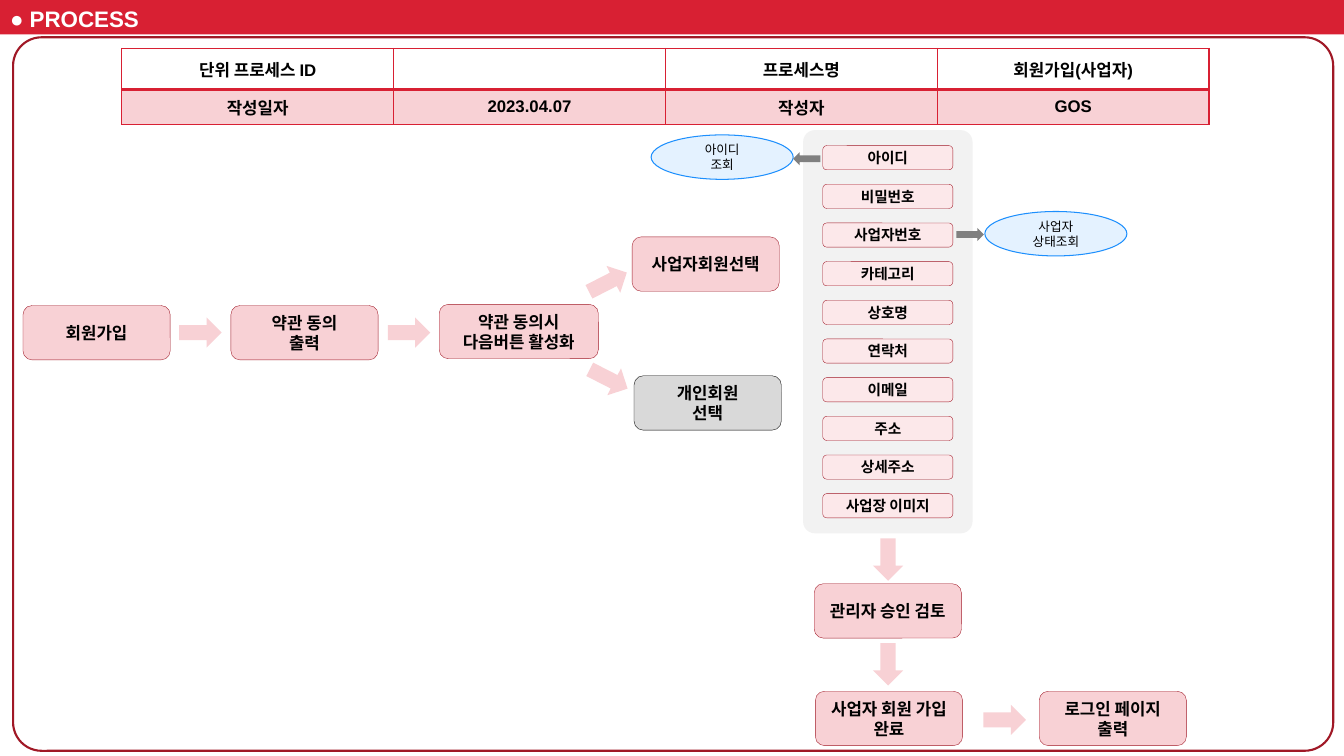
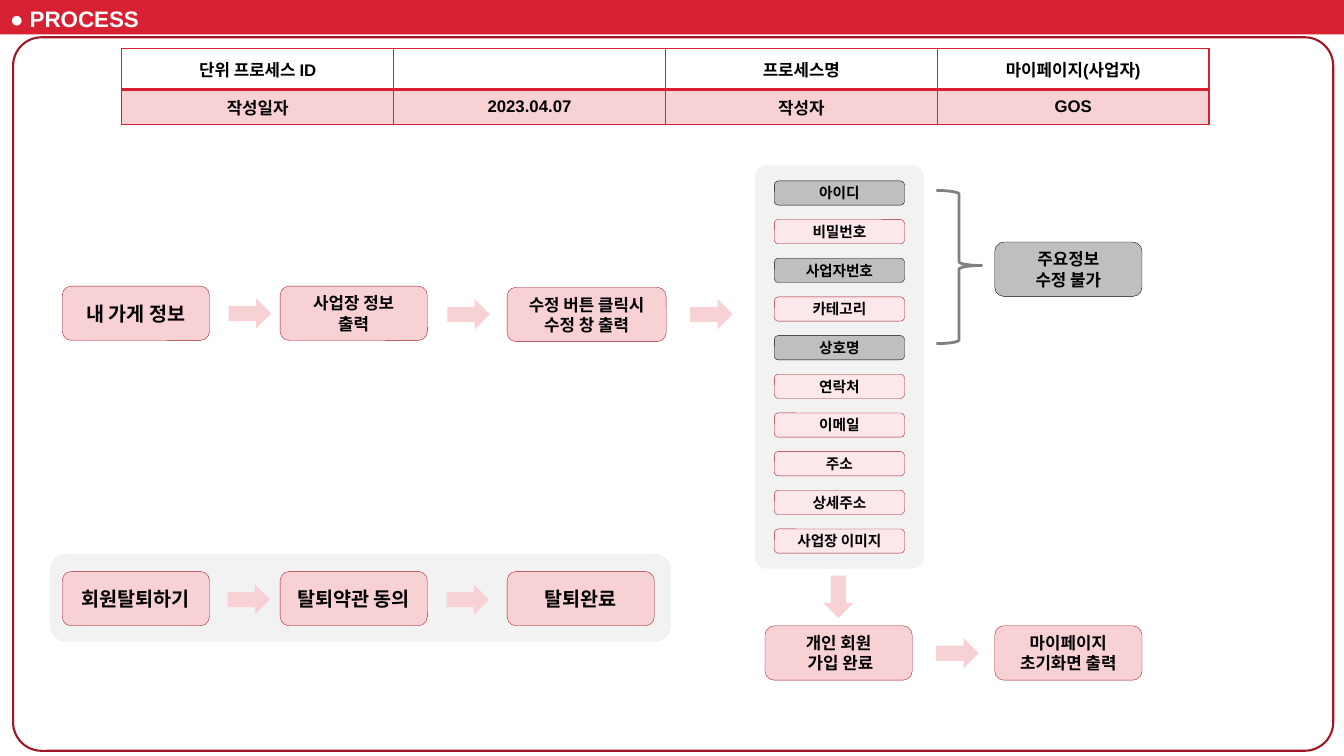
from lxml.etree import SubElement
from pptx import Presentation
from pptx.dml.color import RGBColor
from pptx.enum.shapes import MSO_SHAPE as SHAPE
from pptx.enum.text import MSO_ANCHOR as ANCHOR, PP_ALIGN as ALIGN
from pptx.oxml.ns import qn
from pptx.util import Cm, Pt

RED = RGBColor(0xD8, 0x20, 0x33)
DARK_RED = RGBColor(0xA0, 0x18, 0x26)
PINK = RGBColor(0xF8, 0xD1, 0xD5)
PALE_PINK = RGBColor(0xFC, 0xE8, 0xEA)
PANEL_GRAY = RGBColor(0xF2, 0xF2, 0xF2)
LIGHT_GRAY = RGBColor(0xD9, 0xD9, 0xD9)
LOCKED_GRAY = RGBColor(0xBF, 0xBF, 0xBF)
MID_GRAY = RGBColor(0x80, 0x80, 0x80)
BLUE = RGBColor(0x1D, 0x8F, 0xFD)
PALE_BLUE = RGBColor(0xE4, 0xF2, 0xFF)
BLACK = RGBColor(0, 0, 0)
WHITE = RGBColor(0xFF, 0xFF, 0xFF)

FONT = "Arial"
WIDTH, HEIGHT = 33.87, 19.05
BOX_W, BOX_H, WIDE_W = 3.71, 1.37, 4.01
ARROW_W, ARROW_H = 0.76, 1.07
PANEL_W, PANEL_H = 4.27, 10.16
FIELD_W, FIELD_H, FIELD_MARGIN = 3.28, 0.61, 0.39
RIGHT, DOWN, UP_RIGHT, DOWN_RIGHT = 270, 0, 243, 297

FIELDS = ["아이디", "비밀번호", "사업자번호", "카테고리", "상호명",
          "연락처", "이메일", "주소", "상세주소", "사업장 이미지"]

# boxes: text, left, top, options; arrows: centre x, centre y, direction
SLIDES = [
    {
        "name": "회원가입(사업자)",
        "boxes": [
            ("회원가입", 0.58, 7.7, {}),
            ("약관 동의\n출력", 5.82, 7.7, {}),
            ("약관 동의시\n다음버튼 활성화", 11.07, 7.67, {"w": WIDE_W}),
            ("개인회원\n선택", 15.98, 9.47, {"fill": LIGHT_GRAY, "line": BLACK}),
            ("사업자회원선택", 15.93, 5.97, {}),
            ("관리자 승인 검토", 20.52, 14.71, {}),
            ("사업자 회원 가입 완료", 20.55, 17.42, {}),
            ("로그인 페이지\n출력", 26.19, 17.42, {}),
        ],
        "arrows": [(5.05, 8.38, RIGHT), (10.31, 8.38, RIGHT),
                   (15.32, 7.11, UP_RIGHT), (15.34, 9.55, DOWN_RIGHT),
                   (22.38, 14.1, DOWN), (22.38, 16.74, DOWN),
                   (25.32, 18.14, RIGHT)],
        "panel": (20.24, 3.28),
        "locked": [],
        # text, left, top, arrow centre x, arrow centre y, arrow rotation
        "lookups": [("사업자 상태조회", 24.82, 5.33, 24.45, 5.91, 0),
                    ("아이디\n조회", 16.41, 3.4, 20.33, 4, 180)],
    },
    {
        "name": "마이페이지(사업자)",
        "withdrawal_panel": (1.26, 13.96, 15.65, 2.21),
        "boxes": [
            ("내 가게 정보", 1.57, 7.21, {"size": 14}),
            ("사업장 정보\n출력", 7.06, 7.21, {}),
            ("수정 버튼 클릭시\n수정 창 출력", 12.78, 7.24, {"w": WIDE_W}),
            ("개인 회원\n 가입 완료", 19.28, 15.77, {}),
            ("마이페이지 초기화면 출력", 25.07, 15.77, {}),
            ("주요정보\n수정 불가", 25.07, 6.1, {"fill": LOCKED_GRAY, "line": BLACK}),
            ("회원탈퇴하기", 1.57, 14.4, {"size": 14}),
            ("탈퇴약관 동의", 7.06, 14.4, {"size": 14}),
            ("탈퇴완료", 12.78, 14.4, {"size": 14}),
        ],
        "arrows": [(6.3, 7.9, RIGHT), (11.81, 7.92, RIGHT), (17.93, 7.92, RIGHT),
                   (21.13, 15.04, DOWN), (24.13, 16.46, RIGHT),
                   (6.27, 15.11, RIGHT), (11.79, 15.11, RIGHT)],
        "panel": (19.02, 4.17),
        "locked": ["아이디", "사업자번호", "상호명"],
        "lookups": [],
        "brace": (23.6, 4.8, 1.14, 3.86),
    },
]


def write(tf, text, size=12, bold=True, color=BLACK, align=ALIGN.CENTER,
          anchor=ANCHOR.MIDDLE, wrap=True):
    tf.word_wrap = wrap
    tf.vertical_anchor = anchor
    for i, line in enumerate(text.split("\n")):
        p = tf.paragraphs[0] if i == 0 else tf.add_paragraph()
        p.alignment = align
        r = p.add_run()
        r.text = line
        r.font.name, r.font.size, r.font.bold = FONT, Pt(size), bold
        r.font.color.rgb = color


def draw(shapes, kind, x, y, w, h, fill=None, line=None, line_width=0.25,
         adjust=(), rotation=0):
    sp = shapes.add_shape(kind, Cm(x), Cm(y), Cm(w), Cm(h))
    sp.shadow.inherit = False
    sp.rotation = rotation
    for i, value in enumerate(adjust):
        sp.adjustments[i] = value
    if fill is None:
        sp.fill.background()
    else:
        sp.fill.solid()
        sp.fill.fore_color.rgb = fill
    if line is None:
        sp.line.fill.background()
    else:
        sp.line.color.rgb = line
        sp.line.width = Pt(line_width)
    return sp


def add_box(shapes, text, x, y, w=BOX_W, h=BOX_H, fill=PINK, line=DARK_RED, size=12):
    sp = draw(shapes, SHAPE.ROUNDED_RECTANGLE, x, y, w, h, fill, line)
    write(sp.text_frame, text, size=size)


def add_arrow(shapes, cx, cy, rotation, kind=SHAPE.DOWN_ARROW, w=ARROW_W, h=ARROW_H,
              fill=PINK):
    draw(shapes, kind, cx - w / 2, cy - h / 2, w, h, fill, rotation=rotation)


def add_field_panel(s, x, y, locked):
    shapes = s.shapes.add_group_shape().shapes
    draw(shapes, SHAPE.ROUNDED_RECTANGLE, x, y, PANEL_W, PANEL_H, PANEL_GRAY,
         adjust=[0.07])
    pitch = (PANEL_H - 2 * FIELD_MARGIN - FIELD_H) / (len(FIELDS) - 1)
    for i, field in enumerate(FIELDS):
        fill, line = (LOCKED_GRAY, BLACK) if field in locked else (PALE_PINK, DARK_RED)
        add_box(shapes, field, x + (PANEL_W - FIELD_W) / 2, y + FIELD_MARGIN + i * pitch,
                FIELD_W, FIELD_H, fill, line, 10.5)


def set_borders(cell, bottom):
    tcPr = cell._tc.get_or_add_tcPr()
    for side, width in (("L", 1), ("R", 1), ("T", 1), ("B", bottom)):
        ln = SubElement(tcPr, qn(f"a:ln{side}"), w=str(Pt(width)))
        SubElement(SubElement(ln, qn("a:solidFill")), qn("a:srgbClr"), val=str(RED))


def add_header_table(s, name):
    rows = [["단위 프로세스 ID", "", "프로세스명", name],
            ["작성일자", "2023.04.07", "작성자", "GOS"]]
    table = s.shapes.add_table(2, 4, Cm(3.07), Cm(1.22), Cm(27.4), Cm(1.78)).table
    table.first_row = table.horz_banding = False
    for i, texts in enumerate(rows):
        for j, text in enumerate(texts):
            cell = table.cell(i, j)
            set_borders(cell, bottom=2 if i == 0 else 1)
            cell.fill.solid()
            cell.fill.fore_color.rgb = PINK if i else WHITE
            cell.vertical_anchor = ANCHOR.MIDDLE
            if text:
                write(cell.text_frame, text)


def set_up_layout(layout, s):
    """Put the red band, the frame and the title position into the layout."""
    band = draw(s.shapes, SHAPE.RECTANGLE, 0, 0, WIDTH, 0.87, RED)
    frame = draw(s.shapes, SHAPE.ROUNDED_RECTANGLE, 0.33, 0.94, 33.27, 17.98,
                 line=DARK_RED, line_width=1.5, adjust=[0.04])
    for i, sp in enumerate((band, frame)):
        layout.shapes.element.insert(2 + i, sp.element)
    title = layout.placeholders[0]
    title.left, title.top, title.width, title.height = Cm(0), Cm(0), Cm(3.78), Cm(0.94)


def build_slide(s, content):
    write(s.shapes.title.text_frame, "● PROCESS", size=16, color=WHITE,
          align=ALIGN.LEFT, wrap=False)
    add_header_table(s, content["name"])
    if "withdrawal_panel" in content:
        draw(s.shapes, SHAPE.ROUNDED_RECTANGLE, *content["withdrawal_panel"], PANEL_GRAY,
             adjust=[0.18])
    add_field_panel(s, *content["panel"], content["locked"])
    for text, x, y, options in content["boxes"]:
        add_box(s.shapes, text, x, y, **options)
    for arrow in content["arrows"]:
        add_arrow(s.shapes, *arrow)
    for text, x, y, cx, cy, rotation in content["lookups"]:
        sp = draw(s.shapes, SHAPE.OVAL, x, y, 3.58, 1.12, PALE_BLUE, BLUE, 0.75)
        write(sp.text_frame, text, size=9, bold=False)
        add_arrow(s.shapes, cx, cy, rotation, SHAPE.RIGHT_ARROW, 0.69, 0.33, MID_GRAY)
    if "brace" in content:
        draw(s.shapes, SHAPE.RIGHT_BRACE, *content["brace"], line=MID_GRAY, line_width=2,
             adjust=[0.08, 0.49])


def main():
    prs = Presentation()
    prs.slide_width, prs.slide_height = Cm(WIDTH), Cm(HEIGHT)
    layout = prs.slide_layouts.get_by_name("Title Only")
    slides = [prs.slides.add_slide(layout) for _ in SLIDES]
    set_up_layout(layout, slides[0])
    for s, content in zip(slides, SLIDES):
        build_slide(s, content)
    prs.save("out.pptx")


if __name__ == "__main__":
    main()
